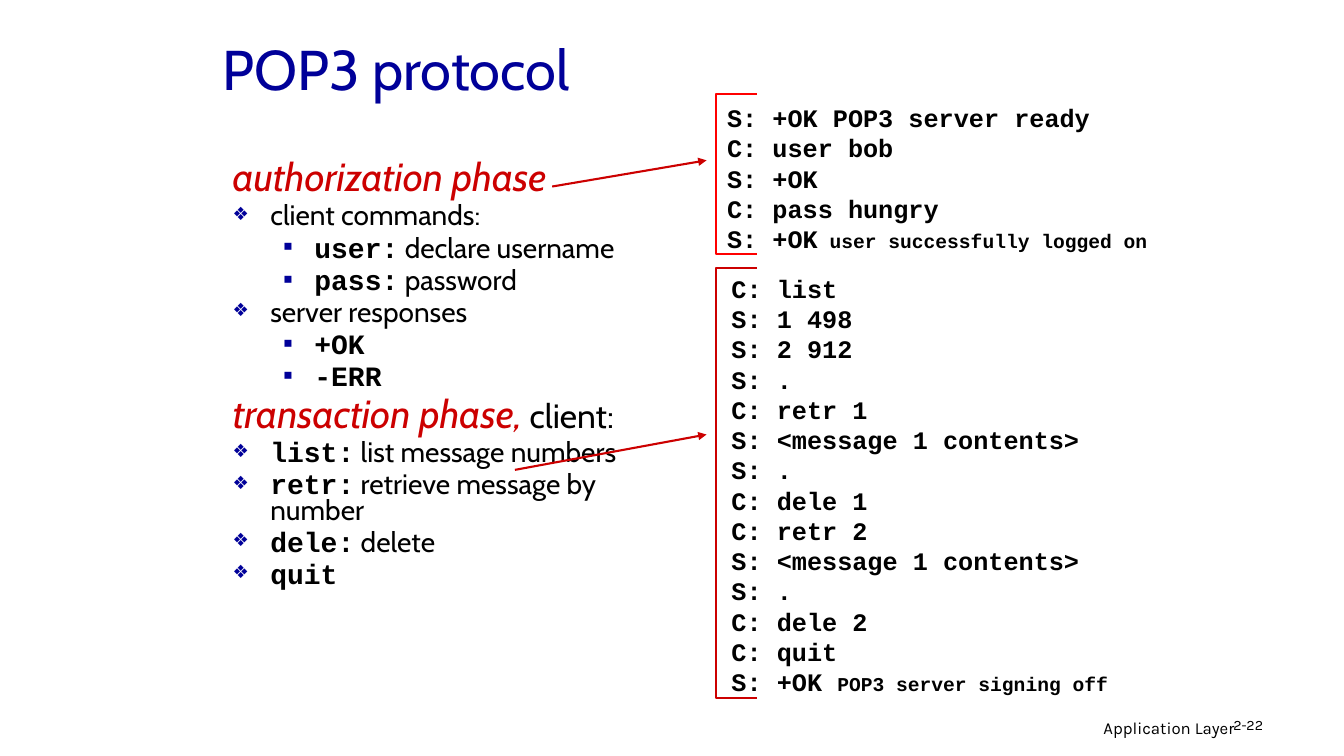
import lxml.etree
import pptx
import pptx.dml.color
import pptx.enum.shapes
import pptx.enum.text
import pptx.oxml.ns
import pptx.util
from pptx.util import Cm

NAVY, RED, BRIGHT_RED, BLACK = "000099", "CC0000", "FF0000", "000000"
SANS, MONO, FOOTER_FONT = "Cabin", "Courier New", "Karla"

# Outline rows: (level, [(text, style), ...]); level None is a phase heading
OUTLINE = [
    (None, [("authorization phase", "phase")]),
    (0, [("client commands:", "plain")]),
    (1, [("user:", "code"), (" declare username", "plain")]),
    (1, [("pass:", "code"), (" password", "plain")]),
    (0, [("server responses", "plain")]),
    (1, [("+OK", "code")]),
    (1, [("-ERR", "code")]),
    (None, [("transaction phase,", "phase"), (" client:", "aside")]),
    (0, [("list:", "code"), (" list message numbers", "plain")]),
    (0, [("retr:", "code"), (" retrieve message by number", "plain")]),
    (0, [("dele:", "code"), (" delete", "plain")]),
    (0, [("quit", "code")]),
]
STYLES = {
    "phase": dict(size=28, font=SANS, color=RED, italic=True),
    "aside": dict(size=24, font=SANS),
    "plain": dict(size=20, font=SANS),
    "code": dict(size=20, font=MONO, bold=True),
}
# Bullet per level: character, size in percent, left margin, hanging indent
BULLETS = {0: ("❖", 65, Cm(0.95), Cm(0.95)), 1: ("▪", 100, Cm(2.06), Cm(0.79))}

# Session lines: (text, smaller remark)
AUTHORIZATION = [
    ("S: +OK POP3 server ready", ""),
    ("C: user bob", ""),
    ("S: +OK", ""),
    ("C: pass hungry", ""),
    ("S: +OK", " user successfully logged on"),
]
TRANSACTION = [(line, "") for line in (
    "C: list", "S: 1 498", "S: 2 912", "S: .",
    "C: retr 1", "S: <message 1 contents>", "S: .", "C: dele 1",
    "C: retr 2", "S: <message 1 contents>", "S: .", "C: dele 2",
    "C: quit")] + [("S: +OK ", "POP3 server signing off")]


def rgb(value):
    return pptx.dml.color.RGBColor.from_string(value)


def add_run(paragraph, text, size, font, color=BLACK, bold=False, italic=False):
    run = paragraph.add_run()
    run.text = text
    run.font.size = pptx.util.Pt(size)
    run.font.name = font
    run.font.bold = bold
    run.font.italic = italic
    run.font.color.rgb = rgb(color)


def place(shape, left, top, width, height):
    shape.left, shape.top = Cm(left), Cm(top)
    shape.width, shape.height = Cm(width), Cm(height)


def set_bullet(paragraph, level):
    properties = paragraph._p.get_or_add_pPr()

    def add(parent, tag, **attributes):
        return lxml.etree.SubElement(parent, pptx.oxml.ns.qn(tag), **attributes)

    char, percent, margin, hanging = BULLETS[level or 0]
    properties.set("marL", str(margin))
    properties.set("indent", str(-hanging))
    if level is None:
        add(properties, "a:buNone")
        return
    add(add(properties, "a:buClr"), "a:srgbClr", val=NAVY)
    add(properties, "a:buSzPct", val=str(percent * 1000))
    add(properties, "a:buChar", char=char)


def fill_title(title):
    place(title, 5.36, 0.36, 21.59, 2.69)
    title.text_frame.vertical_anchor = pptx.enum.text.MSO_ANCHOR.MIDDLE
    heading = title.text_frame.paragraphs[0]
    heading.alignment = pptx.enum.text.PP_ALIGN.LEFT
    add_run(heading, "POP3 protocol", 40, SANS, NAVY)


def fill_outline(body):
    place(body, 5.61, 3.99, 11.02, 12.9)
    frame = body.text_frame
    frame.auto_size = pptx.enum.text.MSO_AUTO_SIZE.NONE
    for index, (level, runs) in enumerate(OUTLINE):
        row = frame.add_paragraph() if index else frame.paragraphs[0]
        row.level = level or 0
        row.line_spacing = 0.75
        row.space_before = pptx.util.Pt(6 if level is None else 5)
        set_bullet(row, level)
        for text, style in runs:
            add_run(row, text, **STYLES[style])


def add_text_frame(slide, left, top, width, height):
    box = slide.shapes.add_textbox(Cm(left), Cm(top), Cm(width), Cm(height))
    box.text_frame.word_wrap = True
    return box.text_frame


def add_session(slide, lines, left, top, height):
    frame = add_text_frame(slide, left, top, 11.8, height)
    for index, (text, remark) in enumerate(lines):
        line = frame.add_paragraph() if index else frame.paragraphs[0]
        line.line_spacing = pptx.util.Pt(21.6)
        add_run(line, text, 18, MONO, bold=True)
        if remark:
            add_run(line, remark, 14, MONO, bold=True)


def style_line(shape, color):
    shape.line.color.rgb = rgb(color)
    shape.line.width = pptx.util.Pt(1.5)


def add_bracket(slide, left, top, height, color):
    right, bottom = left + 1.04, top + height
    outline = slide.shapes.build_freeform(Cm(right), Cm(top))
    corners = [(left, top), (left, bottom), (right, bottom)]
    outline.add_line_segments([(Cm(x), Cm(y)) for x, y in corners], close=False)
    bracket = outline.convert_to_shape()
    bracket.fill.background()
    bracket.shadow.inherit = False
    style_line(bracket, color)


def add_arrow(slide, start_x, start_y, end_x, end_y):
    arrow = slide.shapes.add_connector(
        pptx.enum.shapes.MSO_CONNECTOR.STRAIGHT,
        Cm(start_x), Cm(start_y), Cm(end_x), Cm(end_y))
    style_line(arrow, RED)
    qn = pptx.oxml.ns.qn
    lxml.etree.SubElement(arrow.line._get_or_add_ln(), qn("a:tailEnd"), type="triangle")
    lxml.etree.SubElement(arrow._element.spPr, qn("a:effectLst"))


def add_footer(slide):
    chapter = add_text_frame(slide, 20.65, 17.96, 10.72, 0.79).paragraphs[0]
    chapter.alignment = pptx.enum.text.PP_ALIGN.RIGHT
    add_run(chapter, "Application Layer", 12, FOOTER_FONT)
    page = add_text_frame(slide, 30.84, 17.96, 2.51, 0.76).paragraphs[0]
    page.line_spacing = 0.9
    add_run(page, "2-22", 10.2, FOOTER_FONT)


def main():
    deck = pptx.Presentation()
    deck.slide_width, deck.slide_height = Cm(33.88), Cm(19.05)
    slide = deck.slides.add_slide(deck.slide_layouts[1])

    # Title and outline
    fill_title(slide.shapes.title)
    fill_outline(slide.placeholders[1])

    # Authorization session
    add_session(slide, AUTHORIZATION, 18.08, 2.46, 4.06)
    add_bracket(slide, 18.04, 2.36, 4.04, BRIGHT_RED)
    add_arrow(slide, 13.92, 4.7, 17.81, 4.04)

    # Transaction session
    add_session(slide, TRANSACTION, 18.19, 6.76, 11)
    add_bracket(slide, 18.04, 6.76, 10.82, RED)
    add_arrow(slide, 12.98, 11.84, 17.81, 10.95)

    add_footer(slide)
    deck.save("out.pptx")


if __name__ == "__main__":
    main()
